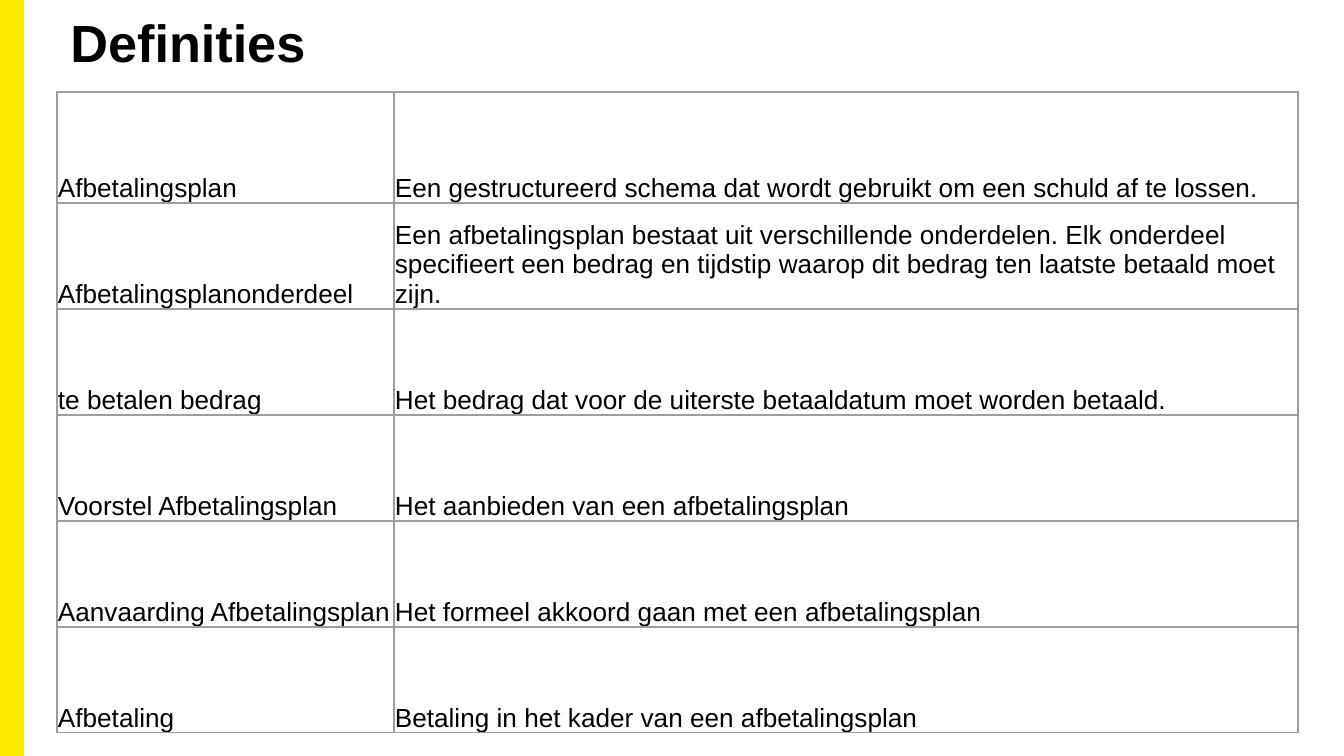
from lxml.etree import SubElement
from pptx import Presentation
from pptx.dml.color import RGBColor
from pptx.enum.shapes import MSO_SHAPE
from pptx.enum.text import MSO_ANCHOR, PP_ALIGN
from pptx.oxml.ns import qn
from pptx.util import Pt

SCALE = 914400 / 134.4
YELLOW = RGBColor(0xFF, 0xEB, 0x00)
WHITE = RGBColor(0xFF, 0xFF, 0xFF)
BLACK = RGBColor(0x00, 0x00, 0x00)
GREY = RGBColor(0x9E, 0x9E, 0x9E)

DEFINITIONS = [
    ("Afbetalingsplan",
     "Een gestructureerd schema dat wordt gebruikt om een schuld af te lossen."),
    ("Afbetalingsplanonderdeel",
     "Een afbetalingsplan bestaat uit verschillende onderdelen. Elk onderdeel "
     "specifieert een bedrag en tijdstip waarop dit bedrag ten laatste betaald moet zijn."),
    ("te betalen bedrag",
     "Het bedrag dat voor de uiterste betaaldatum moet worden betaald."),
    ("Voorstel Afbetalingsplan", "Het aanbieden van een afbetalingsplan"),
    ("Aanvaarding Afbetalingsplan", "Het formeel akkoord gaan met een afbetalingsplan"),
    ("Afbetaling", "Betaling in het kader van een afbetalingsplan"),
]


def px(n):
    return round(n * SCALE)


class Deck:
    """Holds the font style and the current slide."""

    def __init__(self, width, height, font):
        self.prs = Presentation()
        self.prs.slide_width, self.prs.slide_height = px(width), px(height)
        self.font = font
        self.s = self.prs.slides.add_slide(self.prs.slide_layouts[5])

    def text(self, tf, text, size, bold=False):
        p = tf.paragraphs[0]
        p.text = text
        p.alignment = PP_ALIGN.LEFT
        p.font.name, p.font.size, p.font.bold = self.font, Pt(size), bold
        p.font.color.rgb = BLACK

    def bar(self, x, y, w, h, color):
        sp = self.s.shapes.add_shape(MSO_SHAPE.RECTANGLE, px(x), px(y), px(w), px(h))
        sp.shadow.inherit = False
        sp.fill.solid()
        sp.fill.fore_color.rgb = color
        sp.line.fill.background()

    def title(self, text, x, y, w, h):
        sp = self.s.shapes.title
        sp.left, sp.top, sp.width, sp.height = px(x), px(y), px(w), px(h)
        sp.fill.solid()
        sp.fill.fore_color.rgb = WHITE
        sp.text_frame.vertical_anchor = MSO_ANCHOR.MIDDLE
        self.text(sp.text_frame, text, 28, bold=True)

    def borders(self, cell):
        tcPr = cell._tc.get_or_add_tcPr()
        for side in "LRTB":
            ln = SubElement(tcPr, qn(f"a:ln{side}"), w=str(Pt(0.75)))
            fill = SubElement(ln, qn("a:solidFill"))
            SubElement(fill, qn("a:srgbClr"), val=str(GREY))

    def table(self, rows, x, y, widths, heights):
        frame = self.s.shapes.add_table(len(rows), len(widths), px(x), px(y),
                                        px(sum(widths)), px(sum(heights)))
        table = frame.table
        table.first_row = table.horz_banding = False
        for col, w in zip(table.columns, widths):
            col.width = px(w)
        for row, h, texts in zip(table.rows, heights, rows):
            row.height = px(h)
            for cell, text in zip(row.cells, texts):
                self.borders(cell)
                cell.fill.background()
                cell.margin_left = cell.margin_right = cell.margin_top = px(1)
                cell.margin_bottom = 0
                cell.vertical_anchor = MSO_ANCHOR.BOTTOM
                self.text(cell.text_frame, text, 14)


def main():
    deck = Deck(1344, 756, "Arial")
    deck.bar(0, 0, 24, 756, YELLOW)
    deck.table(DEFINITIONS, 57, 92, [337, 904], [111] + [106] * 5)
    deck.title("Definities", 57, 0, 1110, 83)
    deck.prs.save("out.pptx")


if __name__ == "__main__":
    main()
